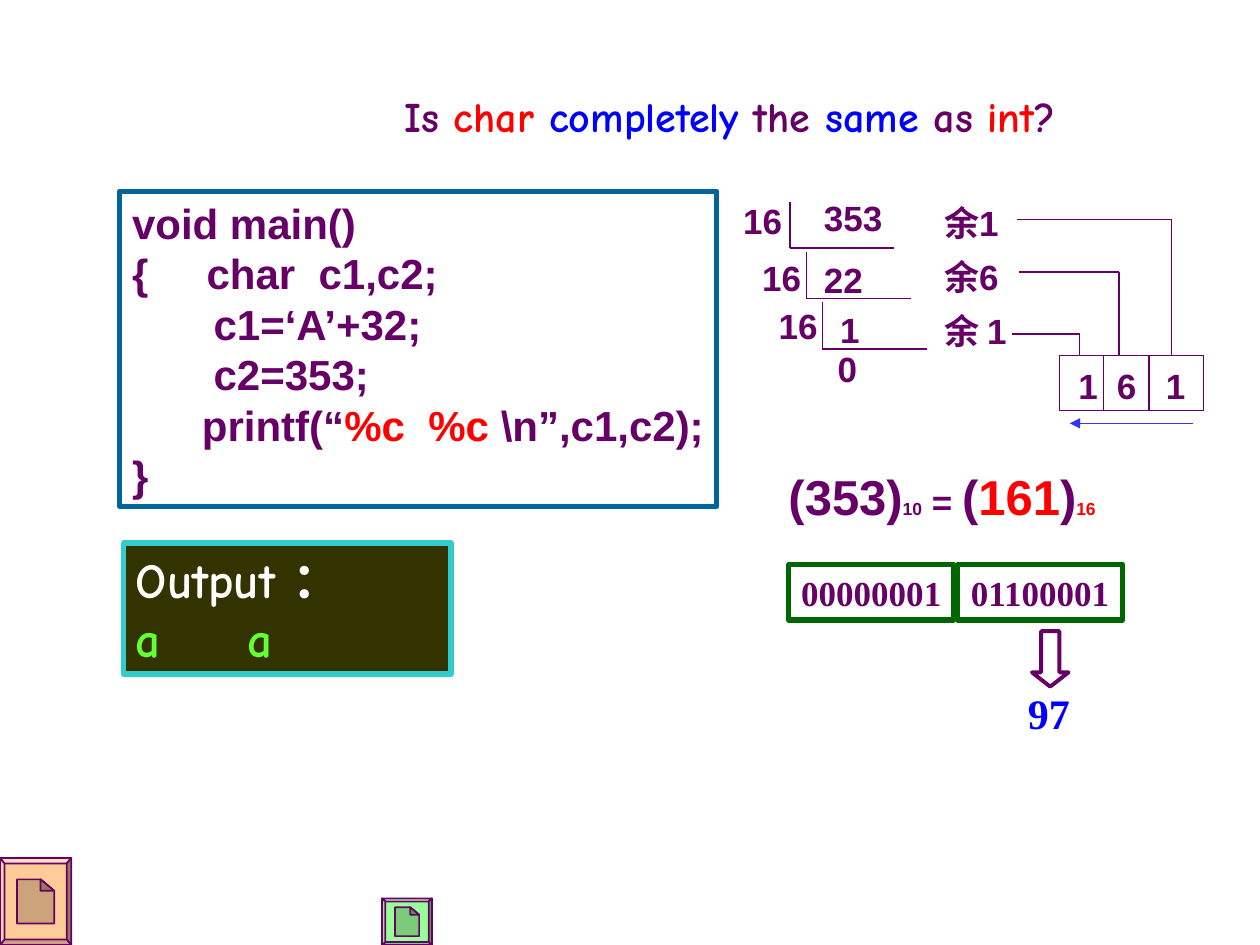
from pptx import Presentation, util as u
from pptx.dml.color import RGBColor
from pptx.enum import shapes, text
from pptx.oxml import ns
from lxml import etree

Pt = u.Pt
PURPLE = RGBColor(0x66, 0x00, 0x66)
RED = RGBColor(0xFF, 0x00, 0x00)
BLUE = RGBColor(0x00, 0x00, 0xFF)
ARROW_BLUE = RGBColor(0x33, 0x33, 0xFF)
WHITE = RGBColor(0xFF, 0xFF, 0xFF)
STEEL = RGBColor(0x00, 0x66, 0x99)
GREEN = RGBColor(0x00, 0x66, 0x00)
OLIVE = RGBColor(0x33, 0x33, 0x00)
TEAL = RGBColor(0x33, 0xCC, 0xCC)
LIME = RGBColor(0x66, 0xFF, 0x33)
PEACH = RGBColor(0xFF, 0xCC, 0x99)
MINT = RGBColor(0x99, 0xFF, 0x99)

SANS, SERIF, COMIC = "Arial", "Times New Roman", "Comic Neue"


def shade(color, k):
    """Darken for negative k, lighten for positive k."""
    return RGBColor(*(round(c + (255 - c) * k if k > 0 else c * (1 + k)) for c in color))


class Deck:
    def __init__(self):
        self.prs = Presentation()
        self.prs.slide_width, self.prs.slide_height = Pt(720), Pt(540)
        self.s = self.prs.slides.add_slide(self.prs.slide_layouts[6])

    def set_text(self, sp, paragraphs, size=20, font=SANS, color=PURPLE, wrap=False,
                 align=text.PP_ALIGN.LEFT, anchor=text.MSO_ANCHOR.TOP, tabs=()):
        """Fill a shape; a paragraph is a string or a list of (text, colour, size) runs."""
        tf = sp.text_frame
        tf.word_wrap, tf.vertical_anchor = wrap, anchor
        for i, runs in enumerate(paragraphs):
            p = tf.paragraphs[0] if i == 0 else tf.add_paragraph()
            p.alignment = align
            if tabs:
                tab_list = etree.SubElement(p._p.get_or_add_pPr(), ns.qn("a:tabLst"))
                for pos in tabs:
                    etree.SubElement(tab_list, ns.qn("a:tab"), pos=str(Pt(pos)), algn="l")
            for run in [(runs, color, size)] if isinstance(runs, str) else runs:
                words, run_color, run_size = (*run, size)[:3]
                r = p.add_run()
                r.text = words
                r.font.name, r.font.size, r.font.bold = font, Pt(run_size), True
                r.font.color.rgb = run_color

    def label(self, x, y, w, h, paragraphs, **style):
        sp = self.s.shapes.add_textbox(Pt(x), Pt(y), Pt(w), Pt(h))
        self.set_text(sp, paragraphs, **style)

    def paint(self, sp, fill, line, width):
        sp.shadow.inherit = False
        if fill is None:
            sp.fill.background()
        else:
            sp.fill.solid()
            sp.fill.fore_color.rgb = fill
        sp.line.color.rgb, sp.line.width = line, Pt(width)

    def shape(self, x, y, w, h, fill, line, width, kind=shapes.MSO_SHAPE.RECTANGLE):
        sp = self.s.shapes.add_shape(kind, Pt(x), Pt(y), Pt(w), Pt(h))
        self.paint(sp, fill, line, width)
        return sp

    def line(self, x1, y1, x2, y2, color=PURPLE, arrow=False):
        cxn = self.s.shapes.add_connector(shapes.MSO_CONNECTOR.STRAIGHT,
                                          Pt(x1), Pt(y1), Pt(x2), Pt(y2))
        cxn.line.color.rgb, cxn.line.width = color, Pt(0.75)
        sp_pr = cxn._element.spPr
        if arrow:
            etree.SubElement(sp_pr.find(ns.qn("a:ln")), ns.qn("a:tailEnd"), type="triangle")
        etree.SubElement(sp_pr, ns.qn("a:effectLst"))

    def polyline(self, *points):
        for start, end in zip(points, points[1:]):
            self.line(*start, *end)

    def polygon(self, points, fill):
        (x, y), *rest = [(Pt(px), Pt(py)) for px, py in points]
        fb = self.s.shapes.build_freeform(x, y)
        fb.add_line_segments(rest, close=True)
        self.paint(fb.convert_to_shape(), fill, PURPLE, 1)

    def document_button(self, x, y, w, h, color):
        """Bevelled button with a folded page in its middle."""
        dx, dy = w / 16, h / 16
        outer = [(x, y), (x + w, y), (x + w, y + h), (x, y + h)]
        inner = [(x + dx, y + dy), (x + w - dx, y + dy),
                 (x + w - dx, y + h - dy), (x + dx, y + h - dy)]
        self.polygon(outer, color)
        for i, k in enumerate((0.4, -0.4, -0.2, 0.2)):
            j = (i + 1) % 4
            self.polygon([outer[i], outer[j], inner[j], inner[i]], shade(color, k))
        m = min(w, h)
        left, right = x + w / 2 - 0.26 * m, x + w / 2 + 0.26 * m
        top, bottom = y + h / 2 - 0.31 * m, y + h / 2 + 0.31 * m
        fold_x, fold_y = right - 0.19 * m, top + 0.16 * m
        self.polygon([(left, top), (fold_x, top), (right, fold_y),
                      (right, bottom), (left, bottom)], shade(color, -0.2))
        self.polygon([(fold_x, top), (right, fold_y), (fold_x, fold_y)], shade(color, -0.4))


def add_code(d):
    d.label(223.9, 48.2, 386.6, 36, [[
        ("Is ", PURPLE), ("char ", RED), ("completely", BLUE), (" the ", PURPLE),
        ("same", BLUE), (" as", PURPLE), (" int", RED), ("?", PURPLE)]],
        size=24, font=COMIC)
    code = d.shape(68.4, 109.4, 341.3, 180, WHITE, STEEL, 3)
    d.set_text(code, [
        "void main()",
        "{     char  c1,c2;",
        "       c1=‘A’+32;",
        "       c2=353;",
        [("      printf(“", PURPLE), ("%c  %c", RED), (" \\n”,c1,c2);", PURPLE)],
        "}"], size=24)
    output = d.shape(70.6, 310.3, 187.2, 74.9, OLIVE, TEAL, 3)
    d.set_text(output, [[("Output ：", WHITE)], [("a\ta", LIME)]],
               size=28, font=COMIC, wrap=True, tabs=[64])


def add_division(d):
    """Repeated division of 353 by 16, with the remainders led to the result cells."""
    steps = [("353", 463.7, 108.7, 53.3, 417.6, 110.2),
             ("22", 463.7, 144, 36.7, 428.4, 143.3),
             ("1", 473, 172.8, 25.2, 437.8, 170.6)]
    for i, (dividend, x, y, w, div_x, div_y) in enumerate(steps):
        left, top = 451.4 + 9.3 * i, 115.2 + 28.8 * i
        d.polyline((left, top), (left, top + 26.6), (left + 59.6, top + 26.6))
        d.label(x, y, w, 31.7, [dividend])
        d.label(div_x, div_y, 36.7, 31.7, ["16"])
    d.label(471.6, 195.1, 25.2, 31.7, ["0"])

    for i, remainder in enumerate(["余1", "余6", "余 1"]):
        d.label(532.4, 111.6 + 31 * i, 54.7 if " " in remainder else 50.4, 31.7, [remainder])

    cell_top, cell_bottom = 203, 234.7
    d.shape(605.5, cell_top, 82.1, cell_bottom - cell_top, None, PURPLE, 0.75)
    for x in (630.7, 656.6):
        d.line(x, cell_top, x, cell_bottom)
    d.label(609.1, 204.5, 86.4, 31.7, ["1\t6\t1"], wrap=True, tabs=[22, 50])
    for start, x, y in [(581, 669.6, 125.3), (582.5, 639.4, 155.5), (578.2, 617, 190.8)]:
        d.polyline((start, y), (x, y), (x, cell_top))
    d.line(681.8, 241.9, 611.3, 241.9, ARROW_BLUE, arrow=True)


def add_result(d):
    d.label(443.5, 262.8, 190.1, 41, [[
        ("(353)", PURPLE), ("10", PURPLE, 10), (" = ", PURPLE, 20), ("(", PURPLE),
        ("161", RED), (")", PURPLE), ("16", RED, 10)]], size=28)
    for i, byte in enumerate(["00000001", "01100001"]):
        sp = d.shape(450.7 + 96.5 * i, 322.6, 94.3, 31.7, WHITE, GREEN, 3)
        d.set_text(sp, [byte], font=SERIF, align=text.PP_ALIGN.CENTER,
                   anchor=text.MSO_ANCHOR.MIDDLE)
    arrow = d.shape(589.7, 360.7, 20.9, 31.7, WHITE, PURPLE, 2.25,
                    shapes.MSO_SHAPE.DOWN_ARROW)
    arrow.adjustments[0], arrow.adjustments[1] = 0.5, 0.39
    d.label(580.3, 389.5, 38.2, 36, ["97"], size=24, font=SERIF, color=BLUE)


def main():
    d = Deck()
    add_code(d)
    add_division(d)
    add_result(d)
    d.document_button(0, 490.3, 40.7, 49.7, PEACH)
    d.document_button(218.4, 513.4, 28.4, 26.6, MINT)
    d.prs.save("out.pptx")


if __name__ == "__main__":
    main()
